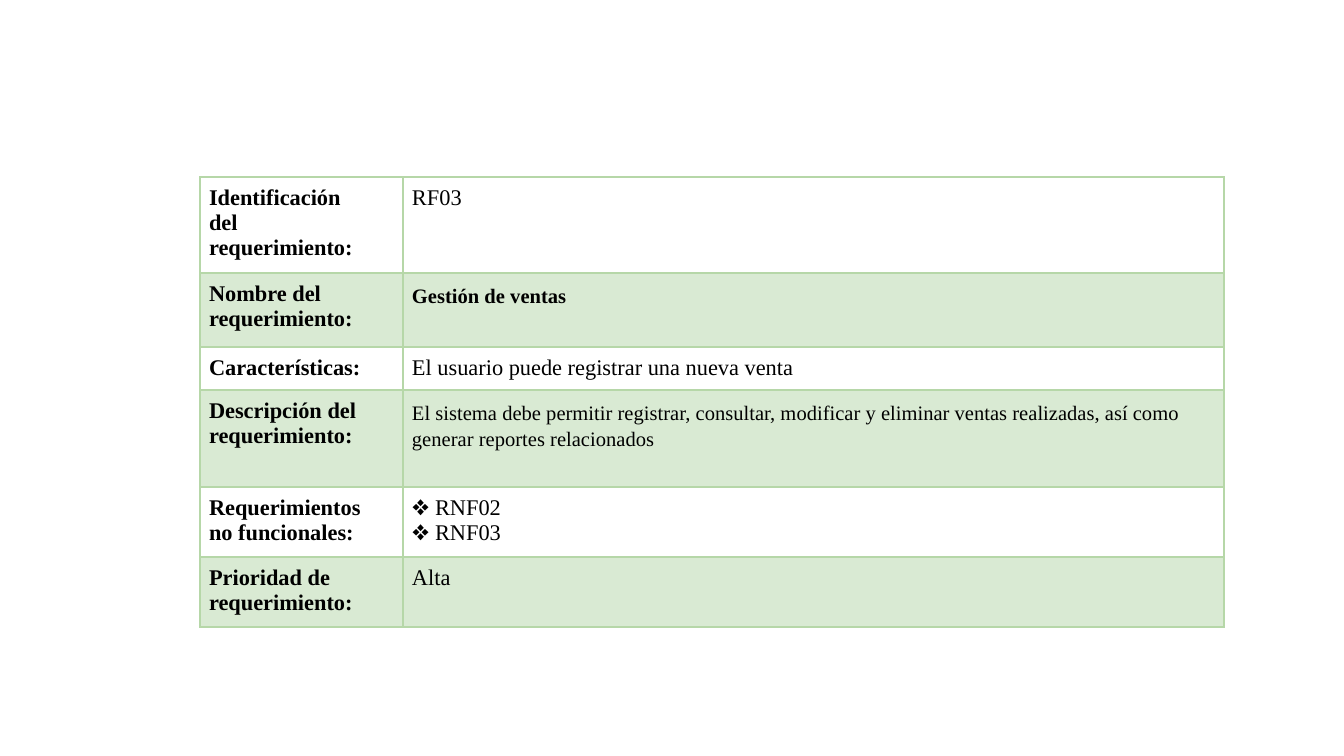
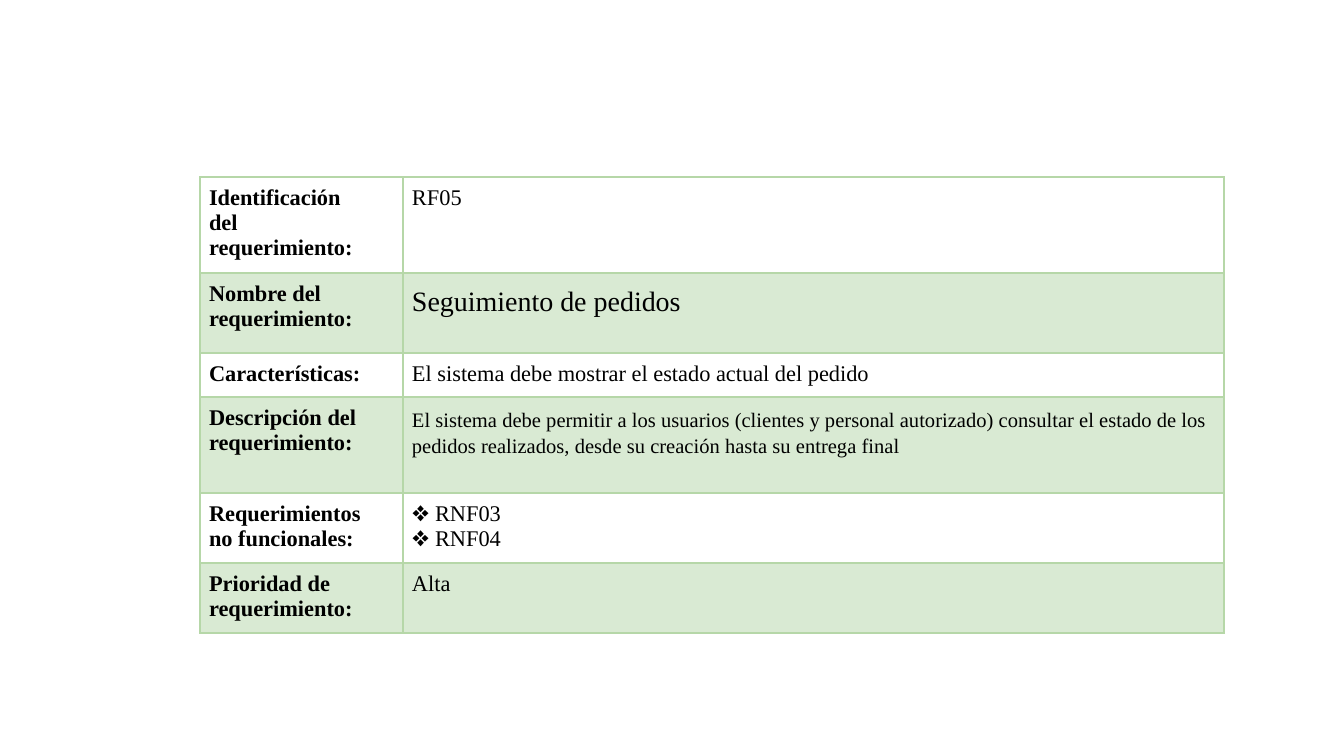
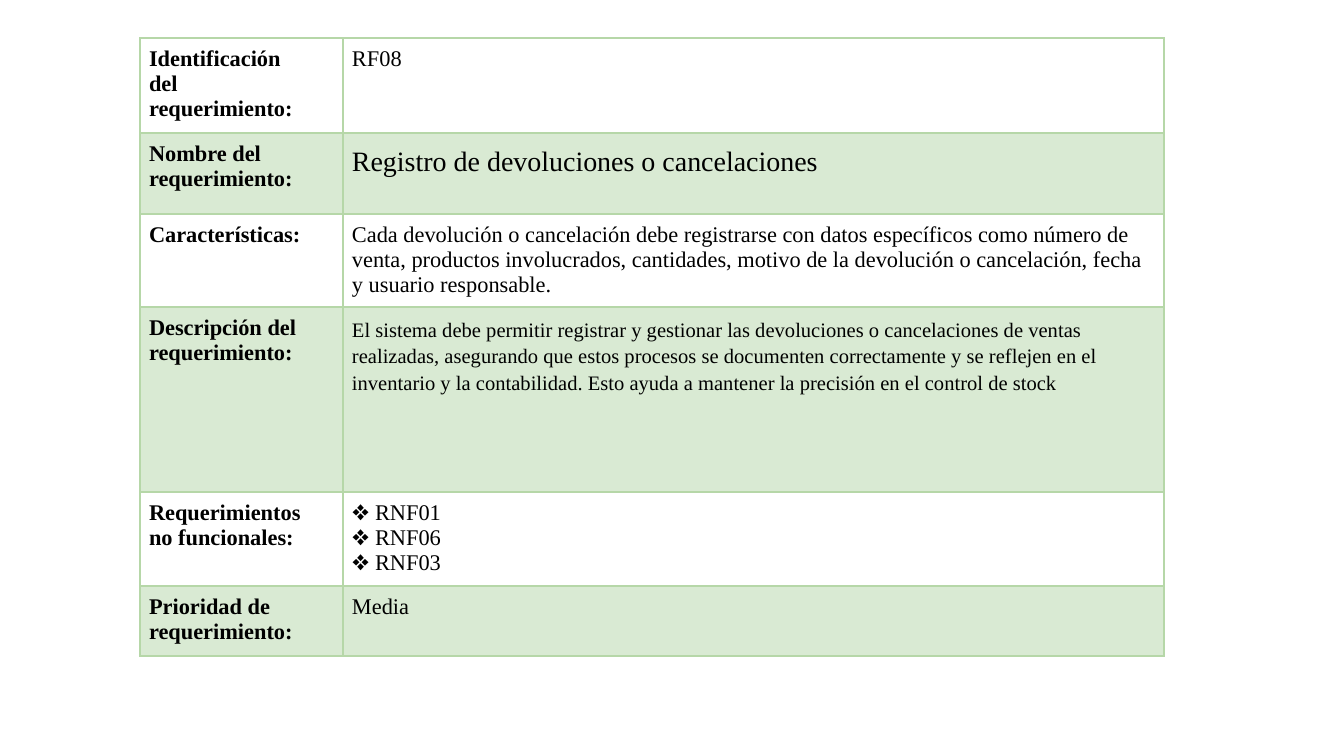
from lxml.etree import SubElement
from pptx import Presentation
from pptx.dml.color import RGBColor
from pptx.oxml.ns import qn
from pptx.util import Pt

SCALE = 914400 / 134.4
FONT = "Times New Roman"
COLORS = {"text": "000000", "band": "D9EAD3", "line": "B6D7A8"}
COLS = (203, 821)
INSET = 9
LABELS = (
    "Identificación\ndel\nrequerimiento:",
    "Nombre del\nrequerimiento:",
    "Características:",
    "Descripción del\nrequerimiento:",
    "Requerimientos\nno funcionales:",
    "Prioridad de\nrequerimiento:",
)
NAME = {"size": 15, "lead": 1.15}
DETAIL = {"size": 11, "lead": 1.15}

# Each slide: table corner, row heights, name format, values
SLIDES = (
    ((200, 177), (96, 74, 43, 97, 70, 70), {**DETAIL, "bold": True}, (
        "RF03",
        "Gestión de ventas",
        "El usuario puede registrar una nueva venta",
        "El sistema debe permitir registrar, consultar, modificar y eliminar "
        "ventas realizadas, así como generar reportes relacionados",
        "❖ RNF02\n❖ RNF03",
        "Alta",
    )),
    ((200, 177), (96, 80, 44, 96, 70, 70), NAME, (
        "RF05",
        "Seguimiento de pedidos",
        "El sistema debe mostrar el estado actual del pedido",
        "El sistema debe permitir a los usuarios (clientes y personal "
        "autorizado) consultar el estado de los pedidos realizados, desde su "
        "creación hasta su entrega final",
        "❖ RNF03\n❖ RNF04",
        "Alta",
    )),
    ((140, 38), (95, 81, 93, 185, 94, 70), NAME, (
        "RF08",
        "Registro de devoluciones o cancelaciones",
        "Cada devolución o cancelación debe registrarse con datos específicos "
        "como número de venta, productos involucrados, cantidades, motivo de "
        "la devolución o cancelación, fecha y usuario responsable.",
        "El sistema debe permitir registrar y gestionar las devoluciones o "
        "cancelaciones de ventas realizadas, asegurando que estos procesos se "
        "documenten correctamente y se reflejen en el inventario y la "
        "contabilidad. Esto ayuda a mantener la precisión en el control de "
        "stock",
        "❖ RNF01\n❖ RNF06\n❖ RNF03",
        "Media",
    )),
)


def px(count):
    return round(count * SCALE)


def write(frame, text, size=12, bold=False, lead=None):
    frame.text = text
    for para in frame.paragraphs:
        para.line_spacing = lead
        for run in para.runs:
            font = run.font
            font.name = FONT
            font.size = Pt(size)
            font.bold = bold
            font.color.rgb = RGBColor.from_string(COLORS["text"])


def style(cell, band):
    """Set the insets, borders and fill of a cell."""
    cell.margin_left = cell.margin_right = px(INSET)
    cell.margin_top = cell.margin_bottom = px(INSET)
    props = cell._tc.get_or_add_tcPr()
    for side in "LRTB":
        line = SubElement(props, qn(f"a:ln{side}"), w=str(Pt(1)))
        fill = SubElement(line, qn("a:solidFill"))
        SubElement(fill, qn("a:srgbClr"), val=COLORS["line"])
    if band:
        cell.fill.solid()
        cell.fill.fore_color.rgb = RGBColor.from_string(COLORS["band"])
    else:
        cell.fill.background()


def add_sheet(slide, corner, heights, name, values):
    """Add the table that describes one requirement."""
    left, top = corner
    table = slide.shapes.add_table(
        len(LABELS), len(COLS), px(left), px(top), px(sum(COLS)), px(sum(heights))
    ).table
    table.first_row = table.horz_banding = False
    for col, width in zip(table.columns, COLS):
        col.width = px(width)
    looks = ({}, name, {}, DETAIL, {}, {})
    for index, (label, value, look) in enumerate(zip(LABELS, values, looks)):
        table.rows[index].height = px(heights[index])
        for col, text, form in ((0, label, {"bold": True}), (1, value, look)):
            cell = table.cell(index, col)
            style(cell, band=index % 2)
            write(cell.text_frame, text, **form)


def main():
    deck = Presentation()
    deck.slide_width, deck.slide_height = px(1344), px(756)
    for sheet in SLIDES:
        add_sheet(deck.slides.add_slide(deck.slide_layouts[6]), *sheet)
    deck.save("out.pptx")


if __name__ == "__main__":
    main()
